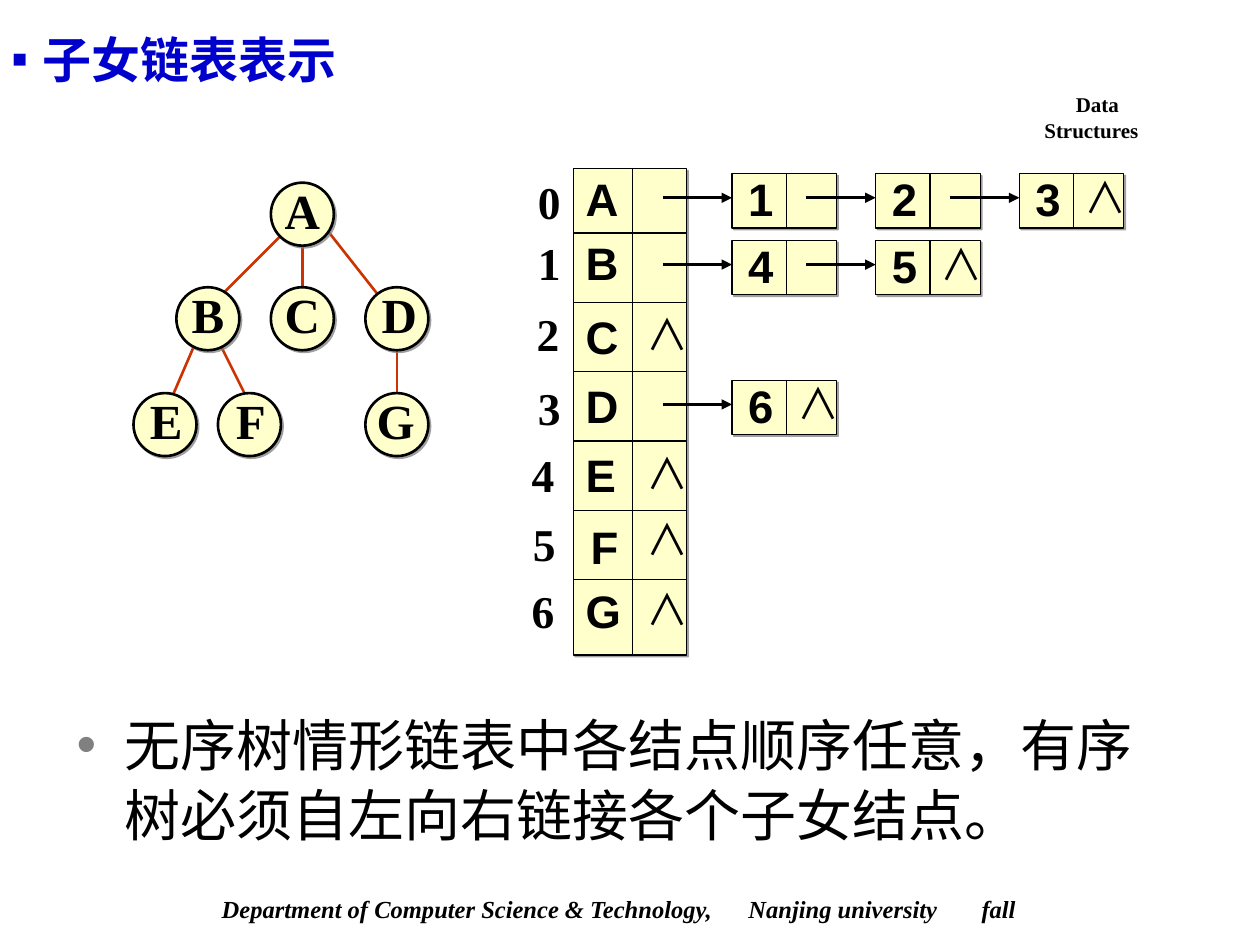
from dataclasses import dataclass

from lxml import etree
from pptx import Presentation
from pptx.dml.color import RGBColor
from pptx.enum.shapes import MSO_CONNECTOR, MSO_SHAPE
from pptx.enum.text import MSO_ANCHOR, PP_ALIGN
from pptx.oxml import parse_xml
from pptx.oxml.ns import nsdecls, qn
from pptx.util import Inches, Pt

STRAIGHT = MSO_CONNECTOR.STRAIGHT
ELLIPSE, RECTANGLE = MSO_SHAPE.OVAL, MSO_SHAPE.RECTANGLE
LEFT, CENTER = PP_ALIGN.LEFT, PP_ALIGN.CENTER
TOP, MIDDLE = MSO_ANCHOR.TOP, MSO_ANCHOR.MIDDLE


@dataclass(frozen=True)
class Theme:
    ink: str = "000000"
    title: str = "0000CC"
    fill: str = "FFFFCC"
    edge: str = "CC3300"
    grey: str = "808080"
    sans: str = "Arial"
    serif: str = "Times New Roman"
    cjk: str = "Noto Sans CJK SC"
    header_size: int = 12
    footer_size: int = 14
    title_size: int = 28
    note_size: int = 32
    node_size: int = 28
    cell_size: int = 26
    null_size: int = 24
    thin: float = 0.75
    thick: float = 1.5


THEME = Theme()

prs = Presentation()
prs.slide_width, prs.slide_height = Inches(10), Inches(7.5)
slide = prs.slides.add_slide(prs.slide_layouts[6])


def put_text(text, x, y, w, h, size, font, color=THEME.ink, bold=True, italic=False,
             align=LEFT, anchor=TOP, wrap=False):
    box = slide.shapes.add_textbox(Inches(x), Inches(y), Inches(w), Inches(h))
    frame = box.text_frame
    frame.word_wrap = wrap
    frame.vertical_anchor = anchor
    frame.text = text
    for paragraph in frame.paragraphs:
        paragraph.alignment = align
        for run in paragraph.runs:
            run.font.size = Pt(size)
            run.font.name = font
            run.font.bold = bold
            run.font.italic = italic
            run.font.color.rgb = RGBColor.from_string(color)
            run.font._element.find(qn("a:latin")).addnext(
                parse_xml(f'<a:ea {nsdecls("a")} typeface="{THEME.cjk}"/>'))
    return frame


def put_line(x1, y1, x2, y2, color=THEME.ink, weight=THEME.thin, arrow=False):
    line = slide.shapes.add_connector(STRAIGHT, Inches(x1), Inches(y1), Inches(x2), Inches(y2))
    line.line.color.rgb = RGBColor.from_string(color)
    line.line.width = Pt(weight)
    if arrow:
        etree.SubElement(line.line._get_or_add_ln(), qn("a:tailEnd"), type="triangle")
    etree.SubElement(line._element.spPr, qn("a:effectLst"))


# Header and footer
header = put_text("Data\nStructures", 8.19, 0.68, 1.38, 0.5, THEME.header_size, THEME.serif,
                  wrap=True)
header.paragraphs[0]._p.get_or_add_pPr().set("indent", str(Inches(0.25)))

footer = put_text("Department of Computer Science & Technology,\tNanjing university\tfall",
                  0.82, 7.05, 8.34, 0.34, THEME.footer_size, THEME.serif, italic=True, wrap=True)
footer.margin_left = Inches(0.94)
tab_list = etree.SubElement(footer.paragraphs[0]._p.get_or_add_pPr(), qn("a:tabLst"))
for stop in (4.18, 6.03):
    etree.SubElement(tab_list, qn("a:tab"), pos=str(Inches(stop)), algn="l")

# Bulleted title and note
title = put_text("子女链表表示", 0, 0, 9, 0.93, THEME.title_size, THEME.sans, THEME.title,
                 anchor=MIDDLE, wrap=True)
note = put_text("无序树情形链表中各结点顺序任意，有序树必须自左向右链接各个子女结点。",
                0.51, 5.56, 8.76, 1.3, THEME.note_size, THEME.sans, bold=False, wrap=True)
note.paragraphs[0].line_spacing = 1.05
for frame, bullet, color, percent, indent in (
    (title, "■", THEME.title, 50, 0.24),
    (note, "•", THEME.grey, 100, 0.38),
):
    props = frame.paragraphs[0]._p.get_or_add_pPr()
    props.set("marL", str(Inches(indent)))
    props.set("indent", str(-Inches(indent)))
    bullet_color = etree.SubElement(props, qn("a:buClr"))
    etree.SubElement(bullet_color, qn("a:srgbClr"), val=color)
    etree.SubElement(props, qn("a:buSzPct"), val=str(percent * 1000))
    etree.SubElement(props, qn("a:buFont"), typeface=THEME.sans)
    etree.SubElement(props, qn("a:buChar"), char=bullet)

# Tree edges
for edge in (
    (3.15, 2.7, 3.15, 3.28), (2.56, 1.78, 3.15, 2.53), (1.73, 2.7, 1.98, 3.2),
    (1.56, 2.7, 1.31, 3.28), (2.23, 1.87, 1.73, 2.37), (2.4, 1.87, 2.4, 2.37),
):
    put_line(*edge, color=THEME.edge, weight=THEME.thick)

# Node, left, top, sideways shift of its letter
tree_nodes = (
    ("A", 2.15, 1.45, 0), ("B", 1.4, 2.28, 0), ("C", 2.15, 2.28, 0), ("D", 2.9, 2.28, 0.02),
    ("E", 1.06, 3.12, 0.01), ("F", 1.73, 3.12, 0.01), ("G", 2.9, 3.12, -0.01),
)
NODE = 0.5

# Child lists: top of the cells and the children in order
child_lists = ((1.38, "123"), (1.91, "45"), (3.02, "6"))
CELL_LEFT, CELL_STEP, CELL_W, CELL_H = 5.81, 1.14, 0.83, 0.43
cells = [(CELL_LEFT + CELL_STEP * i, top, child, i == len(children) - 1)
         for top, children in child_lists for i, child in enumerate(children)]

# Header array: letter with place, index with place, top of the null mark if there is no child
array_rows = (
    ("A", 4.55, 1.31, 4.17, 1.33, None), ("B", 4.55, 1.82, 4.17, 1.82, None),
    ("C", 4.55, 2.4, 4.16, 2.38, 2.4), ("D", 4.55, 2.95, 4.17, 2.97, None),
    ("E", 4.55, 3.5, 4.12, 3.5, 3.5), ("F", 4.59, 4.07, 4.13, 4.05, 4.03),
    ("G", 4.55, 4.58, 4.12, 4.58, 4.58),
)
ARRAY_LEFT, ARRAY_TOP, ARRAY_W, ARRAY_H = 4.55, 1.34, 0.9, 3.86

outlines = [(ELLIPSE, x, y, NODE, NODE, THEME.thick) for _, x, y, _ in tree_nodes]
outlines.append((RECTANGLE, ARRAY_LEFT, ARRAY_TOP, ARRAY_W, ARRAY_H, THEME.thin))
outlines += [(RECTANGLE, x, y, CELL_W, CELL_H, THEME.thin) for x, y, _, _ in cells]
for kind, x, y, w, h, weight in outlines:
    outline = slide.shapes.add_shape(kind, Inches(x), Inches(y), Inches(w), Inches(h))
    outline.fill.solid()
    outline.fill.fore_color.rgb = RGBColor.from_string(THEME.fill)
    outline.line.color.rgb = RGBColor.from_string(THEME.ink)
    outline.line.width = Pt(weight)
    outline.shadow.inherit = False
    outline._element.spPr.find(qn("a:effectLst")).append(parse_xml(
        f'<a:outerShdw {nsdecls("a")} dist="{Pt(1.4)}" dir="2700000">'
        f'<a:srgbClr val="{THEME.grey}"><a:alpha val="75000"/></a:srgbClr></a:outerShdw>'))

for letter, x, y, shift in tree_nodes:
    put_text(letter, x + shift, y - 0.07, NODE, 0.57, THEME.node_size, THEME.serif,
             align=CENTER, anchor=MIDDLE)

# Array grid and contents
for i in range(1, len(array_rows)):
    row_top = 1.3 + 0.55 * i
    put_line(ARRAY_LEFT, row_top, ARRAY_LEFT + ARRAY_W, row_top)
put_line(5.02, ARRAY_TOP, 5.02, ARRAY_TOP + ARRAY_H)

null_marks = []
for index, (letter, x, y, index_x, index_y, null_top) in enumerate(array_rows):
    put_text(letter, x, y, 0.46, 0.54, THEME.cell_size, THEME.sans, wrap=True)
    put_text(str(index), index_x, index_y, 0.38, 0.54, THEME.cell_size, THEME.serif)
    if null_top is not None:
        null_marks.append((5.03, null_top))

# List cells, each reached by a pointer from its left
for x, y, child, is_last in cells:
    put_line(x + 0.43, y, x + 0.43, y + CELL_H)
    put_line(x - 0.55, y + 0.19, x, y + 0.19, weight=THEME.thick, arrow=True)
    put_text(child, x + 0.03, y - 0.07, 0.4, 0.54, THEME.cell_size, THEME.sans)
    if is_last:
        null_marks.append((x + 0.42, y - 0.07))

for x, y in null_marks:
    put_text("∧", x, y, 0.44, 0.5, THEME.null_size, THEME.cjk, bold=False)

prs.save("out.pptx")
